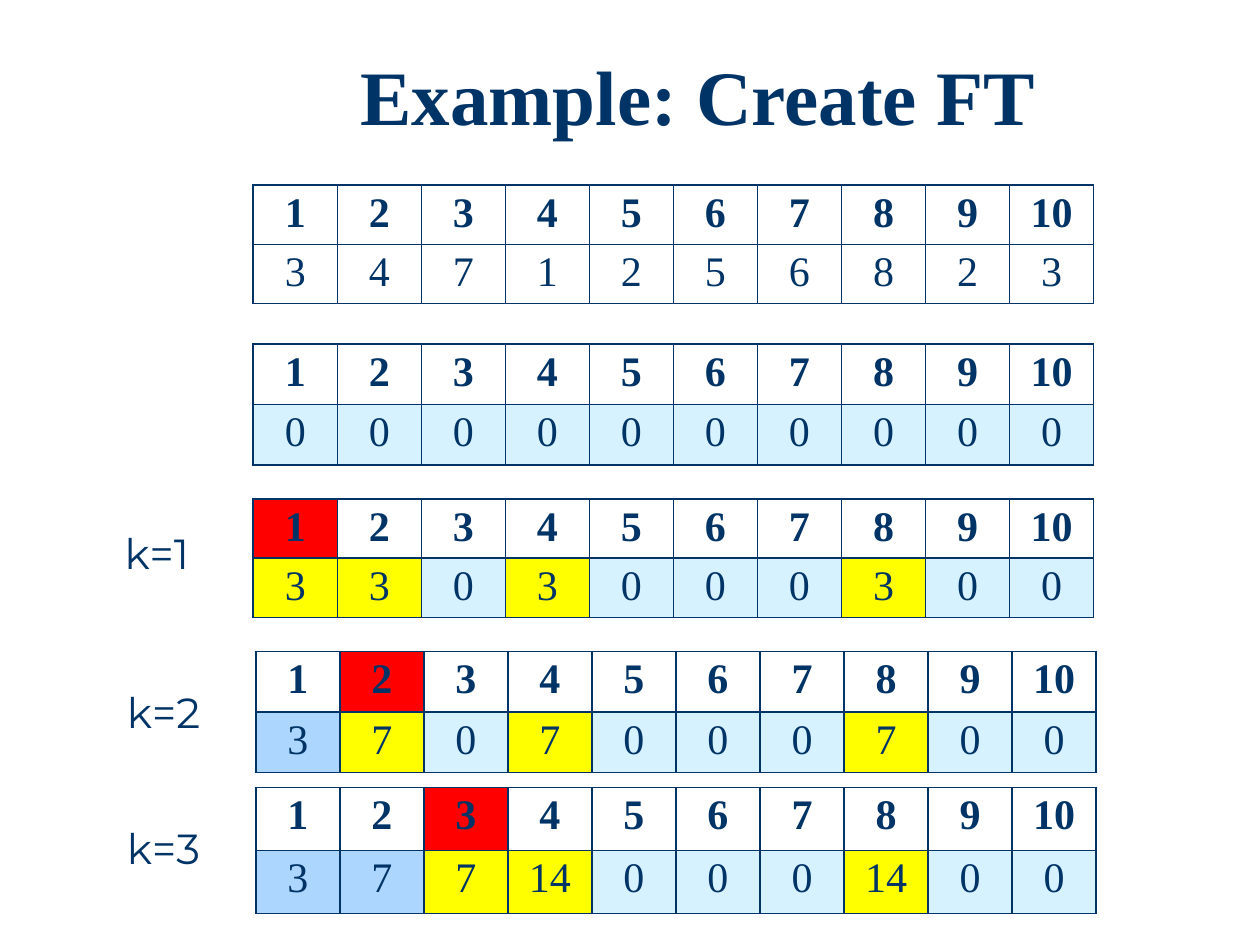
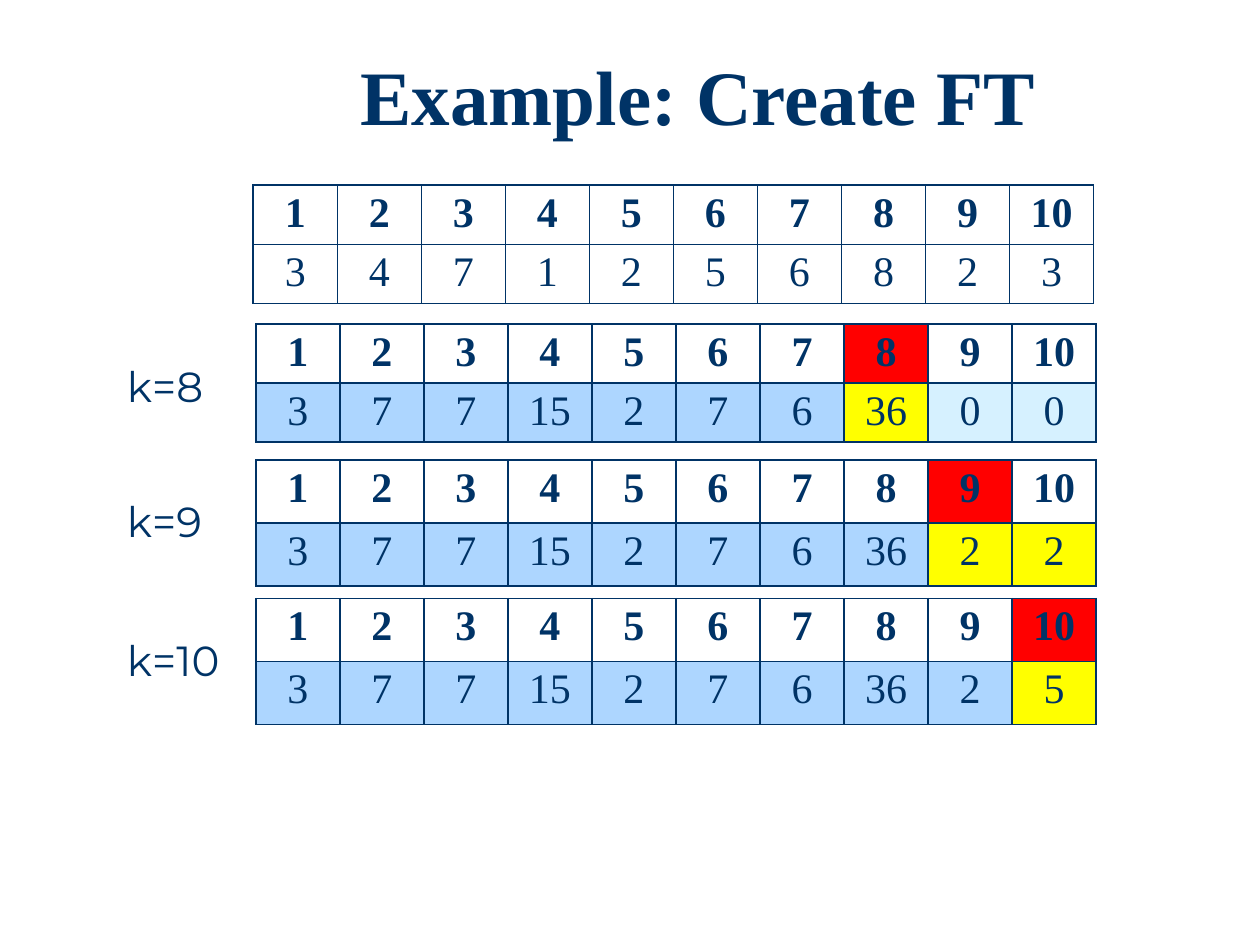
import pptx
import pptx.dml.color
import pptx.enum.text
import pptx.oxml
import pptx.util
from pptx.util import Inches

NAVY = "003366"
WHITE = "FFFFFF"
RED = "FF0000"
YELLOW = "FFFF00"
DONE_BLUE = "ADD6FF"
PALE_BLUE = "D6F1FF"
SERIF = "Times New Roman"
SANS = "Montserrat"
TITLE = "Example: Create FT"
NUMBERS = [3, 4, 7, 1, 2, 5, 6, 8, 2, 3]
INDICES = range(1, len(NUMBERS) + 1)
COLUMN_WIDTH = 6.67 / len(NUMBERS)
TABLE_LEFT, STEP_LEFT = 2.01, 2.03
ROW, TALL_ROW = 0.47, 0.5
DRAWING_NS = "http://schemas.openxmlformats.org/drawingml/2006/main"


def rgb(hex_color):
    """Turn a hex string into a colour."""
    return pptx.dml.color.RGBColor.from_string(hex_color)


def style_font(font, size, name, bold=False):
    """Apply the shared navy text style to a font."""
    font.size = pptx.util.Pt(size)
    font.name = name
    font.bold = bold
    font.color.rgb = rgb(NAVY)


def touched_by(k):
    """List the Fenwick tree positions that step k updates."""
    positions = []
    position = k
    while 0 < position <= len(NUMBERS):
        positions.append(position)
        position += position & -position
    return positions


def tree_after(k):
    """Compute the Fenwick tree after the first k insertions."""
    tree = [0] * len(NUMBERS)
    for step in range(1, k + 1):
        for position in touched_by(step):
            tree[position - 1] += NUMBERS[step - 1]
    return tree


def tree_fill(position, k):
    """Choose the fill of a tree value at step k."""
    if position in touched_by(k):
        return YELLOW
    return DONE_BLUE if position < k else PALE_BLUE


def format_cell(cell, value, fill, bold):
    """Write one bordered, filled and centred table cell."""
    cell.text_frame.text = str(value)
    cell.margin_top = cell.margin_bottom = Inches(0.04)
    para = cell.text_frame.paragraphs[0]
    para.alignment = pptx.enum.text.PP_ALIGN.CENTER
    style_font(para.runs[0].font, 24, SERIF, bold)
    properties = cell._tc.get_or_add_tcPr()
    for side in ("lnL", "lnR", "lnT", "lnB"):
        properties.append(pptx.oxml.parse_xml(
            f'<a:{side} xmlns:a="{DRAWING_NS}" w="12700"><a:solidFill>'
            f'<a:srgbClr val="{NAVY}"/></a:solidFill></a:{side}>'))
    cell.fill.solid()
    cell.fill.fore_color.rgb = rgb(fill)


def add_array(page, left, top, row_height, values, fills, current=0):
    """Add an index row above a value row, marking the current index."""
    table = page.shapes.add_table(
        2, len(values), Inches(left), Inches(top),
        Inches(COLUMN_WIDTH * len(values)), Inches(2 * row_height)).table
    table.first_row = table.horz_banding = False
    for row in table.rows:
        row.height = Inches(row_height)
    for column, index in enumerate(INDICES):
        table.columns[column].width = Inches(COLUMN_WIDTH)
        format_cell(table.cell(0, column), index, RED if index == current else WHITE, True)
        format_cell(table.cell(1, column), values[column], fills[column], False)


def add_tree(page, k, left, top, row_height=ROW):
    """Add the tree as it stands after step k."""
    fills = [tree_fill(position, k) for position in INDICES]
    add_array(page, left, top, row_height, tree_after(k), fills, k)


def add_step(page, k, left, top, row_height, label_drop):
    """Add the tree of step k with its label on the left."""
    add_tree(page, k, left, top, row_height)
    width = 1.1 if k > 9 else 0.87
    box = page.shapes.add_textbox(
        Inches(left - 1.12), Inches(top + label_drop), Inches(width), Inches(0.5))
    frame = box.text_frame
    frame.word_wrap = False
    frame.auto_size = pptx.enum.text.MSO_AUTO_SIZE.SHAPE_TO_FIT_TEXT
    frame.text = f"k={k}"
    style_font(frame.paragraphs[0].runs[0].font, 24, SANS)


def add_example_page(deck, steps):
    """Add a titled page with the input array and the given steps."""
    page = deck.slides.add_slide(deck.slide_layouts[5])
    title = page.shapes.title
    title.left, title.top = Inches(1.54), Inches(0.36)
    title.width, title.height = Inches(8), Inches(0.92)
    frame = title.text_frame
    frame.text = TITLE
    frame.auto_size = pptx.enum.text.MSO_AUTO_SIZE.NONE
    frame.vertical_anchor = pptx.enum.text.MSO_ANCHOR.MIDDLE
    frame.margin_bottom = Inches(0.1)
    para = frame.paragraphs[0]
    para.alignment = pptx.enum.text.PP_ALIGN.CENTER
    para.line_spacing = 0.9
    style_font(para.runs[0].font, 44, SERIF, True)
    add_array(page, TABLE_LEFT, 1.47, ROW, NUMBERS, [WHITE] * len(NUMBERS))
    for step in steps:
        add_step(page, *step)
    return page


def main():
    """Build the two pages and save the deck."""
    deck = pptx.Presentation()
    deck.slide_width, deck.slide_height = Inches(10), Inches(7.5)
    first_page = add_example_page(deck, [
        (1, TABLE_LEFT, 3.96, ROW, 0.18),
        (2, STEP_LEFT, 5.17, ROW, 0.23),
        (3, STEP_LEFT, 6.25, TALL_ROW, 0.23),
    ])
    add_tree(first_page, 0, TABLE_LEFT, 2.73)
    add_example_page(deck, [
        (8, STEP_LEFT, 2.57, ROW, 0.24),
        (9, STEP_LEFT, 3.65, TALL_ROW, 0.23),
        (10, STEP_LEFT, 4.75, TALL_ROW, 0.24),
    ])
    deck.save("out.pptx")


if __name__ == "__main__":
    main()
